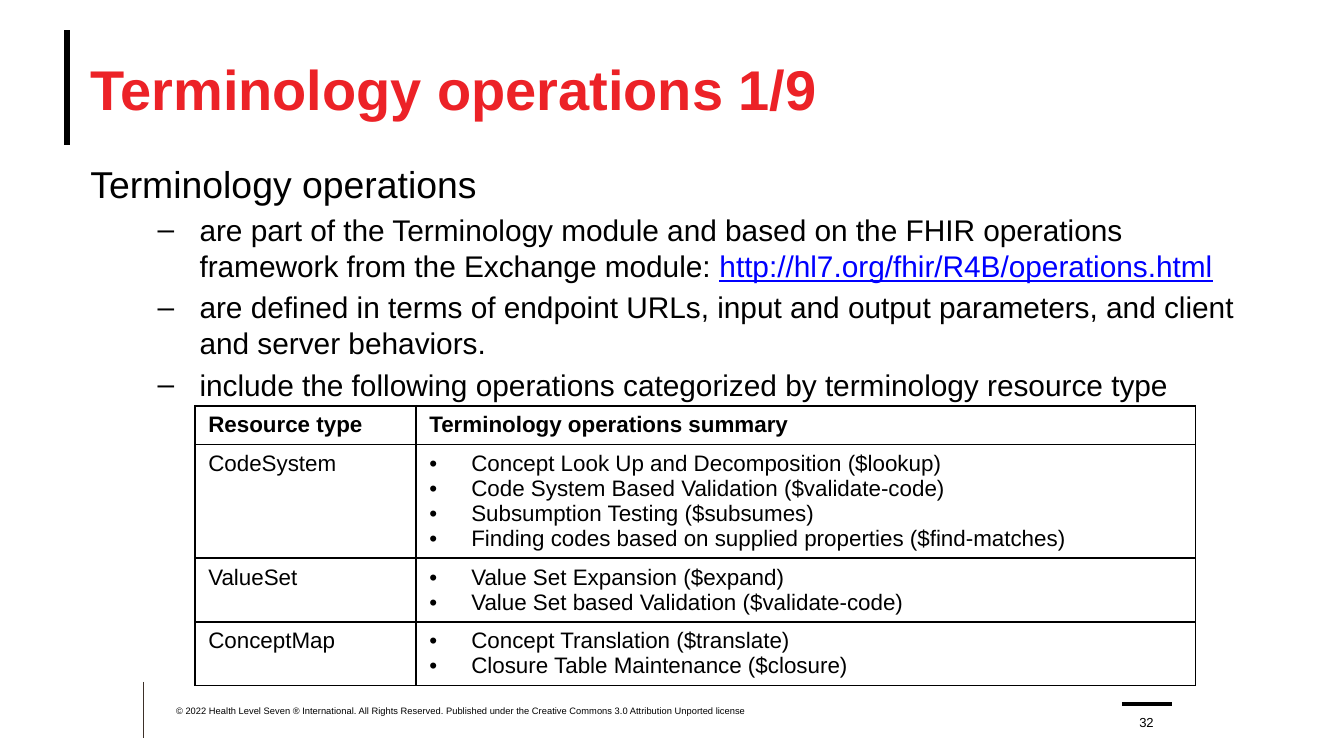
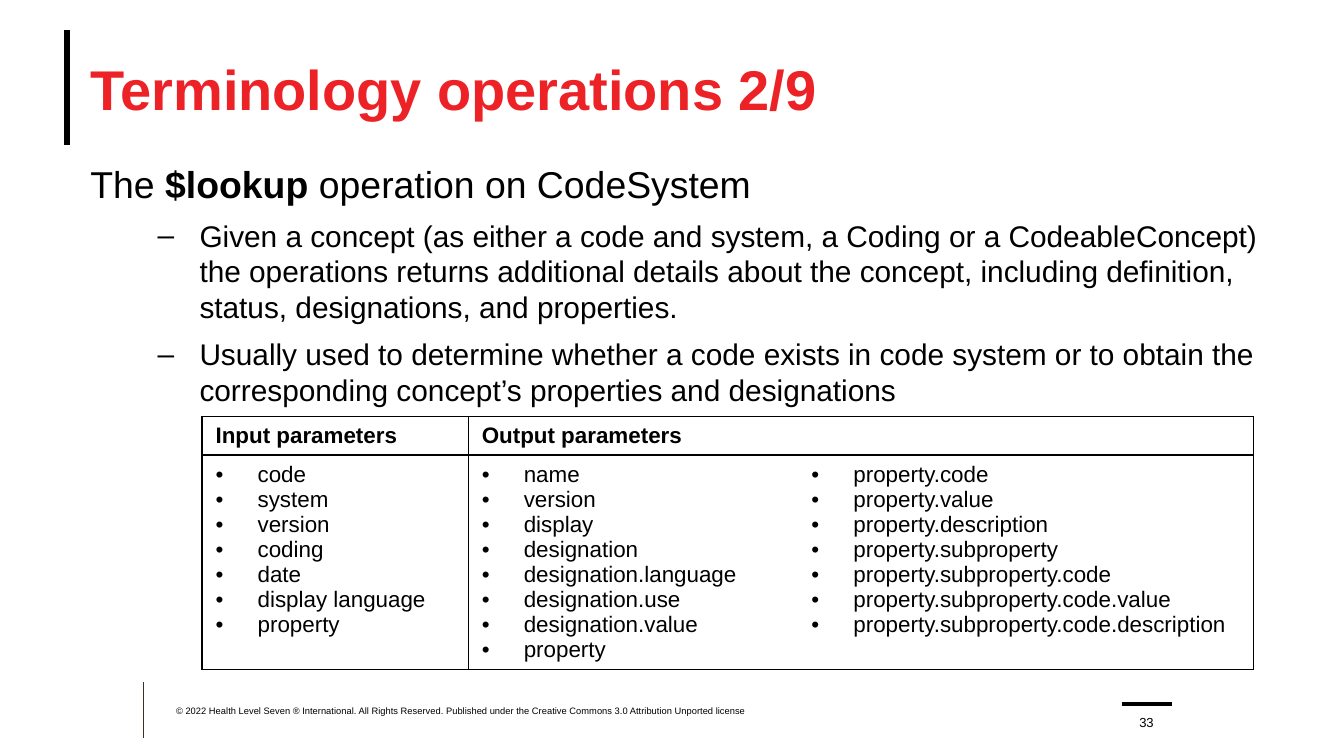
"""Build two slides on FHIR terminology operations."""
from lxml import etree
from pptx import Presentation
from pptx.dml.color import RGBColor
from pptx.enum.shapes import MSO_CONNECTOR
from pptx.enum.text import MSO_ANCHOR, MSO_AUTO_SIZE, PP_ALIGN
from pptx.oxml.ns import qn
from pptx.util import Pt

STRAIGHT = MSO_CONNECTOR.STRAIGHT
TOP, MIDDLE, BOTTOM = MSO_ANCHOR.TOP, MSO_ANCHOR.MIDDLE, MSO_ANCHOR.BOTTOM
LEFT, CENTER = PP_ALIGN.LEFT, PP_ALIGN.CENTER
NO_AUTOFIT = MSO_AUTO_SIZE.NONE

COLORS = {"title": "EC2227", "text": "000000", "link": "0000FF", "footer_rule": "3D3029"}
FONT = "Arial"
TITLE_BOX = (48.4, 16.2, 648, 62)
COPYRIGHT_BOX = (94.3, 378, 356.4, 12.2)
NUMBER_BOX = (603.4, 378.7, 21.6, 12.2)
RULES = [
    ((36, 16.2), (36, 77.8), "text", 3.25),
    ((77, 365.3), (77, 395.3), "footer_rule", 0.5),
    ((601, 377.3), (628, 377.3), "text", 2),
]
HANGING = 22.5
BODY_INDENT = 58.5
TABLE_LINE = 13.4
TABLE_PADDING = 7.2

COPYRIGHT = (
    "© 2022 Health Level Seven ® International. All Rights Reserved. "
    "Published under the Creative Commons 3.0 Attribution Unported license"
)

SLIDES = [
    {
        "title": "Terminology operations 1/9",
        "number": "32",
        "lead": [("Terminology operations", "plain")],
        "points": [
            [
                ("are part of the Terminology module and based on the FHIR operations "
                 "framework from the Exchange module: ", "plain"),
                ("http://hl7.org/fhir/R4B/operations.html", "link"),
            ],
            [("are defined in terms of endpoint URLs, input and output parameters, "
              "and client and server behaviors.", "plain")],
            [("include the following operations categorized by terminology resource type",
              "plain")],
        ],
        "body_box": (48.4, 86.4, 622.8, 280),
        "point_gap": 3,
        "table_at": (104.4, 217.4),
        "columns": [118.4, 417.6],
        "header": ["Resource type", "Terminology operations summary"],
        "rows": [
            ["CodeSystem", [
                "Concept Look Up and Decomposition ($lookup)",
                "Code System Based Validation ($validate-code)",
                "Subsumption Testing ($subsumes)",
                "Finding codes based on supplied properties ($find-matches)",
            ]],
            ["ValueSet", [
                "Value Set Expansion ($expand)",
                "Value Set based Validation ($validate-code)",
            ]],
            ["ConceptMap", [
                "Concept Translation ($translate)",
                "Closure Table Maintenance ($closure)",
            ]],
        ],
    },
    {
        "title": "Terminology operations 2/9",
        "number": "33",
        "lead": [("The ", "plain"), ("$lookup", "bold"),
                 (" operation on CodeSystem", "plain")],
        "points": [
            [("Given a concept (as either a code and system, a Coding or a CodeableConcept) "
              "the operations returns additional details about the concept, including "
              "definition, status, designations, and properties.", "plain")],
            [("Usually used to determine whether a code exists in code system or to obtain "
              "the corresponding concept’s properties and designations", "plain")],
        ],
        "body_box": (48.4, 86.4, 648, 280),
        "point_gap": 6,
        "table_at": (108.3, 223.2),
        "columns": [142.6, 176.6, 244.1],
        "header": ["Input parameters", "Output parameters", None],
        "rows": [
            [
                ["code", "system", "version", "coding", "date", "display language",
                 "property"],
                ["name", "version", "display", "designation", "designation.language",
                 "designation.use", "designation.value", "property"],
                ["property.code", "property.value", "property.description",
                 "property.subproperty", "property.subproperty.code",
                 "property.subproperty.code.value",
                 "property.subproperty.code.description"],
            ],
        ],
    },
]


def points(values):
    return [Pt(value) for value in values]


def style_run(run, size, color="text", bold=False):
    run.font.name = FONT
    run.font.size = Pt(size)
    run.font.bold = bold
    run.font.color.rgb = RGBColor.from_string(COLORS[color])


def set_bullet(paragraph, margin, hanging, mark=None):
    properties = paragraph._p.get_or_add_pPr()
    properties.set("marL", str(Pt(margin)))
    properties.set("indent", str(-Pt(hanging)))
    if mark:
        etree.SubElement(properties, qn("a:buFont")).set("typeface", FONT)
        etree.SubElement(properties, qn("a:buChar")).set("char", mark)
    else:
        etree.SubElement(properties, qn("a:buNone"))


def prepare_frame(shape, box, anchor):
    shape.left, shape.top, shape.width, shape.height = points(box)
    frame = shape.text_frame
    frame.margin_left = frame.margin_top = frame.margin_right = frame.margin_bottom = 0
    frame.word_wrap = True
    frame.auto_size = NO_AUTOFIT
    frame.vertical_anchor = anchor
    return frame


def write_line(shape, box, text, size, anchor, align=LEFT, color="text", bold=False):
    frame = prepare_frame(shape, box, anchor)
    frame.text = text
    frame.paragraphs[0].alignment = align
    style_run(frame.paragraphs[0].runs[0], size, color, bold)


def add_rules(slide):
    for start, end, color, weight in RULES:
        rule = slide.shapes.add_connector(STRAIGHT, *points(start + end))
        rule.line.color.rgb = RGBColor.from_string(COLORS[color])
        rule.line.width = Pt(weight)
        etree.SubElement(rule._element.spPr, qn("a:effectLst"))


def add_body(slide, content):
    frame = prepare_frame(slide.placeholders[1], content["body_box"], TOP)
    for index, pieces in enumerate([content["lead"]] + content["points"]):
        paragraph = frame.add_paragraph() if index else frame.paragraphs[0]
        paragraph.level = 1 if index else 0
        if index:
            set_bullet(paragraph, BODY_INDENT, HANGING, "–")
        else:
            set_bullet(paragraph, 0, 0)
        paragraph.line_spacing = 1.0
        paragraph.space_before = Pt(content["point_gap"] if index else 0)
        for text, style in pieces:
            run = paragraph.add_run()
            run.text = text
            style_run(run, 16 if index else 20,
                      "link" if style == "link" else "text", style == "bold")
            if style == "link":
                run.font.underline = True


def add_borders(cell, sides):
    properties = cell._tc.get_or_add_tcPr()
    for side in "LRTB":
        border = etree.SubElement(properties, qn("a:ln" + side))
        border.set("w", str(Pt(1)))
        if side in sides:
            fill = etree.SubElement(border, qn("a:solidFill"))
            etree.SubElement(fill, qn("a:srgbClr")).set("val", COLORS["text"])
        else:
            etree.SubElement(border, qn("a:noFill"))


def fill_cell(cell, entry, bold):
    bulleted = isinstance(entry, list)
    cell.text_frame.text = "\n".join(entry) if bulleted else entry
    for paragraph in cell.text_frame.paragraphs:
        if bulleted:
            set_bullet(paragraph, HANGING, HANGING, "•")
        style_run(paragraph.runs[0], 12, bold=bold)


def add_operations_table(slide, content):
    rows = [content["header"]] + content["rows"]
    widths = content["columns"]
    heights = [
        TABLE_PADDING + TABLE_LINE * max(len(e) if isinstance(e, list) else 1 for e in row)
        for row in rows
    ]
    table = slide.shapes.add_table(
        len(rows), len(widths),
        *points(content["table_at"] + (sum(widths), sum(heights)))).table
    table.first_row = table.horz_banding = False
    for column, width in zip(table.columns, widths):
        column.width = Pt(width)
    for row, height in zip(table.rows, heights):
        row.height = Pt(height)
    joined = [c for c, entry in enumerate(content["header"]) if entry is None]
    for c in joined:
        table.cell(0, c - 1).merge(table.cell(0, c))
    for r, row in enumerate(rows):
        for c, entry in enumerate(row):
            cell = table.cell(r, c)
            hidden = "" if r == 0 else "L" * (c in joined) + "R" * (c + 1 in joined)
            add_borders(cell, set("LRTB") - set(hidden))
            cell.fill.background()
            if entry is not None:
                fill_cell(cell, entry, r == 0)


def build_slide(deck, content):
    slide = deck.slides.add_slide(deck.slide_layouts[1])
    add_rules(slide)
    write_line(slide.shapes.title, TITLE_BOX, content["title"], 30, MIDDLE,
               color="title", bold=True)
    add_body(slide, content)
    write_line(slide.shapes.add_textbox(0, 0, 0, 0), COPYRIGHT_BOX, COPYRIGHT, 5, TOP)
    write_line(slide.shapes.add_textbox(0, 0, 0, 0), NUMBER_BOX, content["number"], 7,
               BOTTOM, CENTER)
    add_operations_table(slide, content)


def main():
    deck = Presentation()
    deck.slide_width, deck.slide_height = Pt(720), Pt(405)
    for content in SLIDES:
        build_slide(deck, content)
    deck.save("out.pptx")


if __name__ == "__main__":
    main()
